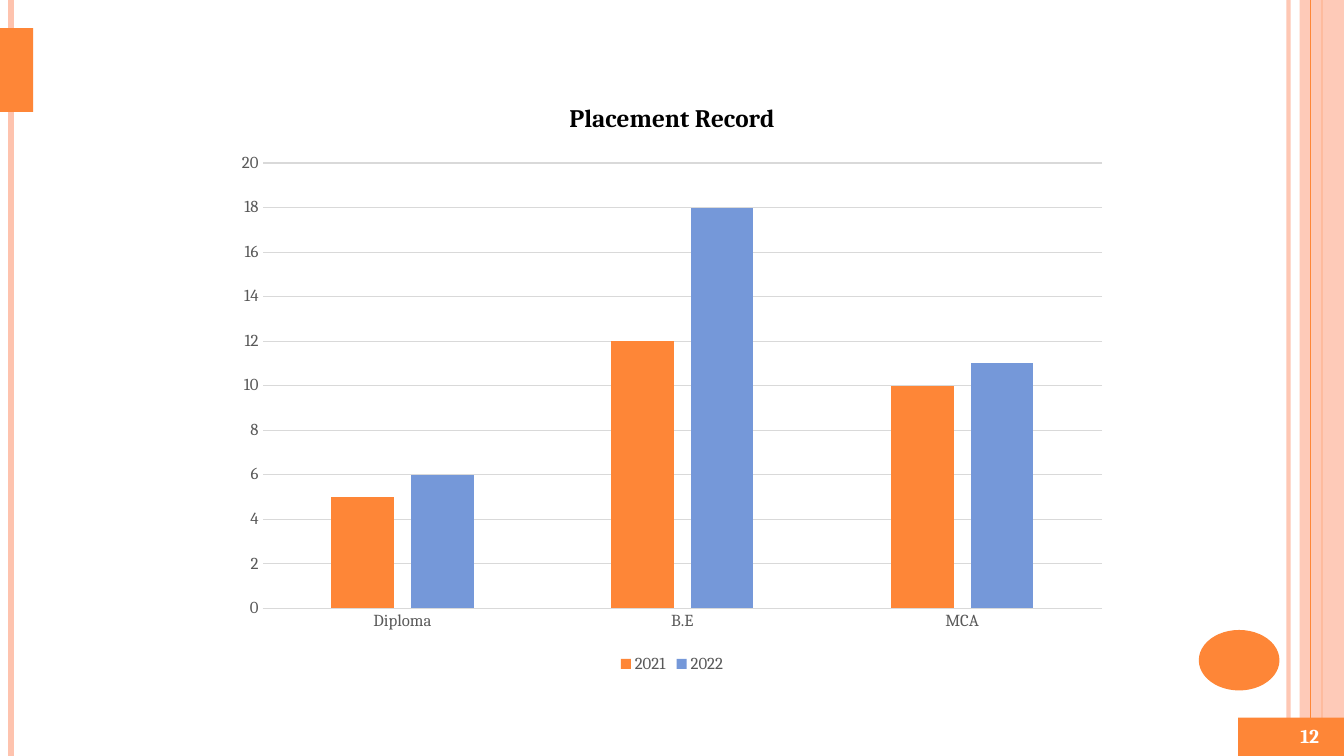
from dataclasses import dataclass

from lxml import etree
from pptx import Presentation
from pptx.chart.data import CategoryChartData
from pptx.dml.color import RGBColor
from pptx.enum.chart import XL_CHART_TYPE, XL_LEGEND_POSITION, XL_TICK_MARK
from pptx.enum.shapes import MSO_CONNECTOR, MSO_SHAPE
from pptx.enum.text import MSO_ANCHOR, PP_ALIGN
from pptx.oxml.ns import qn
from pptx.util import Inches, Pt

COLUMNS = XL_CHART_TYPE.COLUMN_CLUSTERED
BOTTOM = XL_LEGEND_POSITION.BOTTOM
NO_TICK = XL_TICK_MARK.NONE
STRAIGHT = MSO_CONNECTOR.STRAIGHT
RECTANGLE, OVAL = MSO_SHAPE.RECTANGLE, MSO_SHAPE.OVAL
MIDDLE, CENTER = MSO_ANCHOR.MIDDLE, PP_ALIGN.CENTER


@dataclass(frozen=True)
class Theme:
    font: str = "Cambria"
    orange: str = "FE8637"
    peach: str = "FEC3AE"
    blue: str = "7598D9"
    grid: str = "D9D9D9"
    label: str = "595959"
    black: str = "000000"
    white: str = "FFFFFF"
    title_size: int = 18
    label_size: int = 12
    number_size: int = 14
    hairline: float = 0.75


THEME = Theme()

# Content
WIDTH, HEIGHT = 13.33, 7.5
CHART_TITLE = "Placement Record"
COURSES = ["Diploma", "B.E", "MCA"]
PLACEMENTS = [
    ("2021", [5, 12, 10], THEME.orange),
    ("2022", [6, 18, 11], THEME.blue),
]
SLIDE_NUMBER = "12"

# Decoration from back to front
# stripe: x, weight, colour, opacity %; block: kind, box, colour, opacity %
BACK_STRIPES = [
    (12.78, 3, THEME.peach, 93),
    (0.11, 4.5, THEME.peach, 100),
    (13.11, 1.5, THEME.orange, 100),
]
SIDE_BAND = (RECTANGLE, (12.89, 0, 0.44, HEIGHT), THEME.peach, 87)
FRONT_STRIPE = (13, THEME.hairline, THEME.orange, 100)
ACCENTS = [
    (OVAL, (11.89, 6.25, 0.8, 0.6), THEME.orange, 100),
    (RECTANGLE, (12.28, 7.12, 1.05, 0.38), THEME.orange, 100),
    (RECTANGLE, (0, 0.28, 0.33, 0.83), THEME.orange, 100),
]
NUMBER_BOX = (12.65, 7.1, 0.68, 0.4)

# The chart takes two thirds of the width, centred
CHART_WIDTH = WIDTH * 2 / 3
CHART_BOX = ((WIDTH - CHART_WIDTH) / 2, 0.79, CHART_WIDTH, 5.93)


def inches(box):
    return [Inches(length) for length in box]


def set_opacity(element, percent):
    if percent < 100:
        color = next(element.iter(qn("a:srgbClr")))
        etree.SubElement(color, qn("a:alpha")).set("val", str(percent * 1000))


def style_font(font, size, color, bold=False):
    font.name = THEME.font
    font.size = Pt(size)
    font.bold = bold
    font.color.rgb = RGBColor.from_string(color)


def style_line(line, color, weight):
    line.color.rgb = RGBColor.from_string(color)
    line.width = Pt(weight)


def add_stripe(page, x, weight, color, opacity):
    stripe = page.shapes.add_connector(
        STRAIGHT, Inches(x), 0, Inches(x), Inches(HEIGHT))
    style_line(stripe.line, color, weight)
    properties = stripe._element.spPr
    set_opacity(properties, opacity)
    etree.SubElement(properties, qn("a:effectLst"))


def add_block(page, kind, box, color, opacity):
    block = page.shapes.add_shape(kind, *inches(box))
    block.shadow.inherit = False
    block.fill.solid()
    block.fill.fore_color.rgb = RGBColor.from_string(color)
    block.line.fill.background()
    set_opacity(block._element.spPr, opacity)


def add_slide_number(page):
    box = page.shapes.add_textbox(*inches(NUMBER_BOX))
    frame = box.text_frame
    frame.word_wrap = True
    frame.vertical_anchor = MIDDLE
    para = frame.paragraphs[0]
    para.alignment = CENTER
    span = para.add_run()
    span.text = SLIDE_NUMBER
    style_font(span.font, THEME.number_size, THEME.white, bold=True)


def add_placement_chart(page):
    data = CategoryChartData()
    data.categories = COURSES
    for year, values, _ in PLACEMENTS:
        data.add_series(year, values)
    chart = page.shapes.add_chart(COLUMNS, *inches(CHART_BOX), data).chart
    style_font(chart.font, THEME.label_size, THEME.label)

    # Title and legend
    chart.has_title = True
    span = chart.chart_title.text_frame.paragraphs[0].add_run()
    span.text = CHART_TITLE
    style_font(span.font, THEME.title_size, THEME.black, bold=True)
    chart.chart_title.include_in_layout = False
    chart.has_legend = True
    chart.legend.position = BOTTOM
    chart.legend.include_in_layout = False
    style_font(chart.legend.font, THEME.label_size, THEME.label)

    # Axes
    courses, counts = chart.category_axis, chart.value_axis
    for axis in (courses, counts):
        axis.major_tick_mark = axis.minor_tick_mark = NO_TICK
        style_font(axis.tick_labels.font, THEME.label_size, THEME.label)
    style_line(courses.format.line, THEME.grid, THEME.hairline)
    counts.format.line.fill.background()
    counts.minimum_scale, counts.maximum_scale, counts.major_unit = 0, 20, 2
    style_line(counts.major_gridlines.format.line, THEME.grid, THEME.hairline)

    # Columns
    plot = chart.plots[0]
    plot.gap_width, plot.overlap = 219, -27
    plot.vary_by_categories = False
    for series, (_, _, color) in zip(plot.series, PLACEMENTS):
        series.format.fill.solid()
        series.format.fill.fore_color.rgb = RGBColor.from_string(color)


def main():
    deck = Presentation()
    deck.slide_width, deck.slide_height = Inches(WIDTH), Inches(HEIGHT)
    page = deck.slides.add_slide(deck.slide_layouts[6])
    for stripe in BACK_STRIPES:
        add_stripe(page, *stripe)
    add_block(page, *SIDE_BAND)
    add_stripe(page, *FRONT_STRIPE)
    for accent in ACCENTS:
        add_block(page, *accent)
    add_slide_number(page)
    add_placement_chart(page)
    deck.save("out.pptx")


if __name__ == "__main__":
    main()
